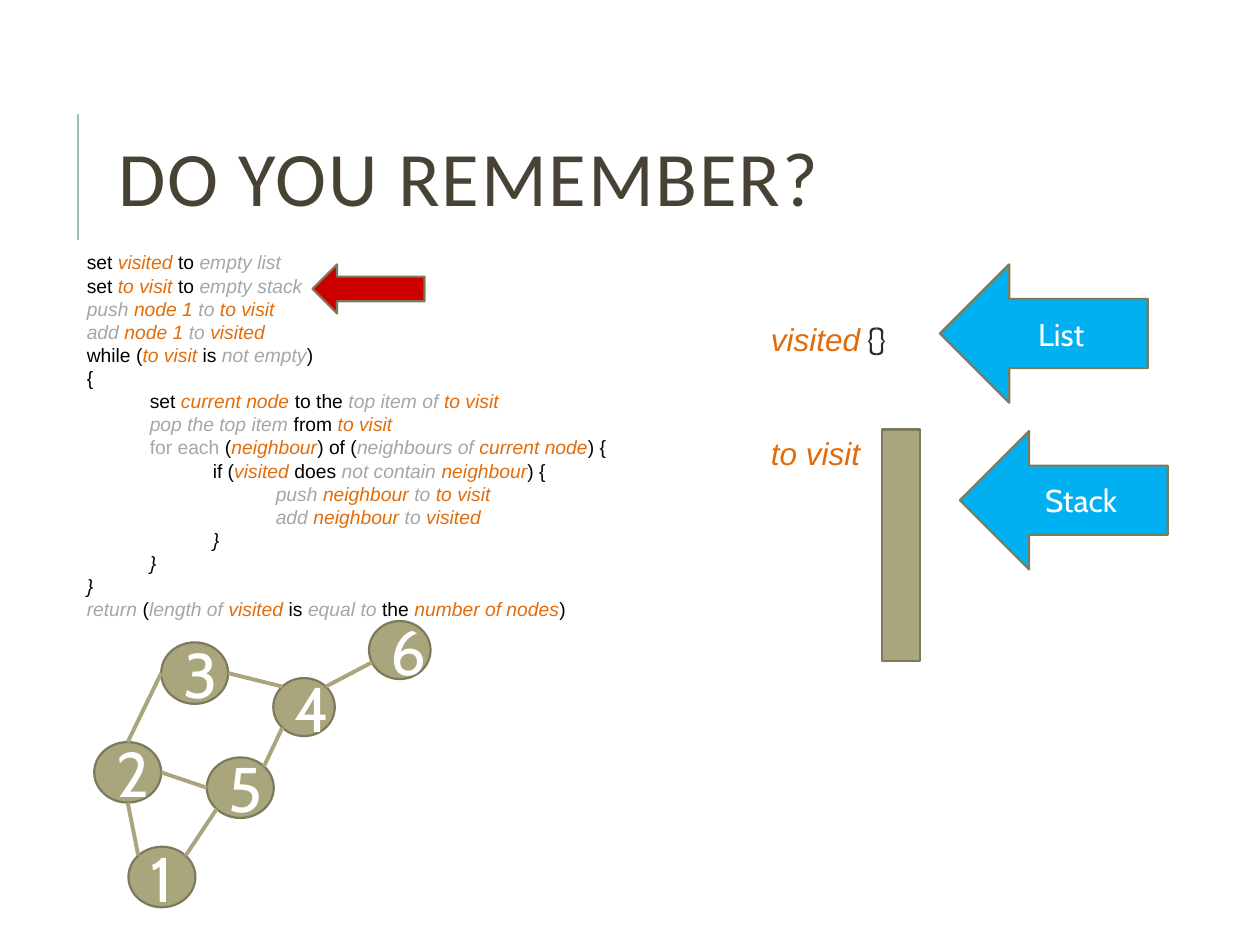
from math import cos, radians, sin

from lxml.etree import SubElement
from pptx import Presentation
from pptx.dml.color import RGBColor
from pptx.enum.shapes import MSO_CONNECTOR, MSO_SHAPE
from pptx.enum.text import MSO_ANCHOR, PP_ALIGN
from pptx.oxml.ns import qn
from pptx.util import Cm, Pt

ORANGE, GREY, BLACK, WHITE = "E36C0A", "A6A6A6", "000000", "FFFFFF"
KHAKI, OUTLINE, BLUE, RED = "A9A57C", "7D7A5C", "00B0F0", "CC0000"
TITLE_COLOR, RULE_COLOR, BRACE_COLOR = "474233", "9CBEBD", "2E2B21"

CODE_STYLES = {
    "k": (BLACK, False),
    "b": (BLACK, True),
    "g": (GREY, False),
    "h": (GREY, True),
    "v": (ORANGE, True),
}
PSEUDOCODE = [
    (0, "kset |vvisited|k to |hempty list"),
    (0, "kset |vto visit |kto |hempty stack"),
    (0, "hpush |vnode 1 |hto |vto visit"),
    (0, "hadd |vnode 1 |hto |vvisited"),
    (0, "kwhile (|vto visit |kis |hnot empty|k)"),
    (0, "k{"),
    (1, "kset |vcurrent node |kto the |htop item of |vto visit"),
    (1, "hpop the top item |kfrom |vto visit"),
    (1, "gfor each |k(|vneighbour|k) of (|hneighbours of |vcurrent node|k) {"),
    (2, "kif (|vvisited|k does |hnot contain |vneighbour|k) {"),
    (3, "hpush |vneighbour |hto |vto visit"),
    (3, "hadd |vneighbour |hto |vvisited"),
    (2, "b}"),
    (1, "b}"),
    (0, "b}"),
    (0, "hreturn |k(|hlength of |vvisited|k is |hequal to |kthe |vnumber of nodes|k)"),
]

NODES = {
    6: (7.44, 12.52, 1.24, 1.17),
    4: (5.51, 13.67, 1.24, 1.17),
    3: (3.25, 12.95, 1.35, 1.24),
    5: (4.17, 15.27, 1.35, 1.22),
    1: (2.59, 17.07, 1.35, 1.22),
    2: (1.9, 14.96, 1.35, 1.22),
}
EDGES = [
    (3, 0, 4, 225),
    (4, 315, 6, 155),
    (5, 315, 4, 135),
    (2, 0, 5, 180),
    (3, 180, 2, 270),
    (5, 135, 1, 315),
    (2, 90, 1, 225),
]


def rgb(color):
    return RGBColor.from_string(color)


def style_run(run, size, font, color, italic=False):
    run.font.size = Pt(size)
    run.font.name = font
    run.font.color.rgb = rgb(color)
    run.font.italic = italic


def add_styled_run(paragraph, text, size, font, color, italic=False):
    run = paragraph.add_run()
    run.text = text
    style_run(run, size, font, color, italic)
    return run


def add_text_frame(shapes, box, wrap=True):
    frame = shapes.add_textbox(*map(Cm, box)).text_frame
    frame.word_wrap = wrap
    return frame


def add_figure(shapes, preset, box, fill, label="", size=18):
    figure = shapes.add_shape(preset, *map(Cm, box))
    figure.shadow.inherit = False
    figure.fill.solid()
    figure.fill.fore_color.rgb = rgb(fill)
    figure.line.color.rgb = rgb(OUTLINE)
    figure.line.width = Pt(1.25)
    if label:
        frame = figure.text_frame
        frame.text = label
        frame.vertical_anchor = MSO_ANCHOR.MIDDLE
        paragraph = frame.paragraphs[0]
        paragraph.alignment = PP_ALIGN.CENTER
        style_run(paragraph.runs[0], size, "Cabin", WHITE)


def add_line(shapes, start, end, color, width):
    line = shapes.add_connector(MSO_CONNECTOR.STRAIGHT, *map(Cm, start + end))
    line.line.color.rgb = rgb(color)
    line.line.width = Pt(width)
    SubElement(line._element.spPr, qn("a:effectLst"))


def rim_point(node, angle):
    left, top, width, height = NODES[node]
    turn = radians(angle)
    return (left + width / 2 * (1 + cos(turn)), top + height / 2 * (1 + sin(turn)))


def add_title(shapes):
    add_line(shapes, (1.57, 4.83), (1.57, 2.29), RULE_COLOR, 1.5)
    frame = add_text_frame(shapes, (2.13, 1.63, 20.24, 4.17))
    frame.vertical_anchor = MSO_ANCHOR.MIDDLE
    heading = frame.paragraphs[0]
    heading.line_spacing = 0.8
    run = add_styled_run(heading, "DO YOU REMEMBER?", 44, "Calibri", TITLE_COLOR)
    run.font._element.set("spc", "100")


def add_graph(shapes):
    graph = shapes.add_group_shape().shapes
    for number, box in NODES.items():
        add_figure(graph, MSO_SHAPE.OVAL, box, KHAKI, str(number), 36)
    for first, first_angle, second, second_angle in EDGES:
        add_line(graph, rim_point(first, first_angle),
                 rim_point(second, second_angle), KHAKI, 2.25)


def add_pseudocode(shapes):
    frame = add_text_frame(shapes, (1.5, 4.93, 11.4, 7.87))
    for index, (depth, markup) in enumerate(PSEUDOCODE):
        statement = frame.add_paragraph() if index else frame.paragraphs[0]
        statement.line_spacing = Pt(13.2)
        statement._p.get_or_add_pPr().set("marL", str(Cm(1.27 * depth)))
        for piece in markup.split("|"):
            color, italic = CODE_STYLES[piece[0]]
            add_styled_run(statement, piece[1:], 11, "Arial", color, italic)


def add_variables(shapes):
    frame = add_text_frame(shapes, (15.29, 6.32, 2.95, 3.33), wrap=False)
    visited = frame.paragraphs[0]
    add_styled_run(visited, "visited", 18, "Arial", ORANGE, True)
    add_styled_run(visited, " {}", 18, "Cabin", BRACE_COLOR)
    to_visit = frame.add_paragraph()
    to_visit.space_before = Pt(43.5)
    add_styled_run(to_visit, "to visit", 18, "Arial", ORANGE, True)
    add_figure(shapes, MSO_SHAPE.RECTANGLE, (17.78, 8.66, 0.76, 4.67), KHAKI)


def add_arrows(shapes):
    for box, fill, label in [
        ((6.3, 5.33, 2.26, 0.99), RED, ""),
        ((18.95, 5.33, 4.19, 2.79), BLUE, "List"),
        ((19.35, 8.69, 4.19, 2.79), BLUE, "Stack"),
    ]:
        add_figure(shapes, MSO_SHAPE.LEFT_ARROW, box, fill, label)


def main():
    presentation = Presentation()
    presentation.slide_width = Cm(25.4)
    presentation.slide_height = Cm(19.05)
    shapes = presentation.slides.add_slide(presentation.slide_layouts[6]).shapes
    add_title(shapes)
    add_graph(shapes)
    add_pseudocode(shapes)
    add_variables(shapes)
    add_arrows(shapes)
    presentation.save("out.pptx")


if __name__ == "__main__":
    main()
